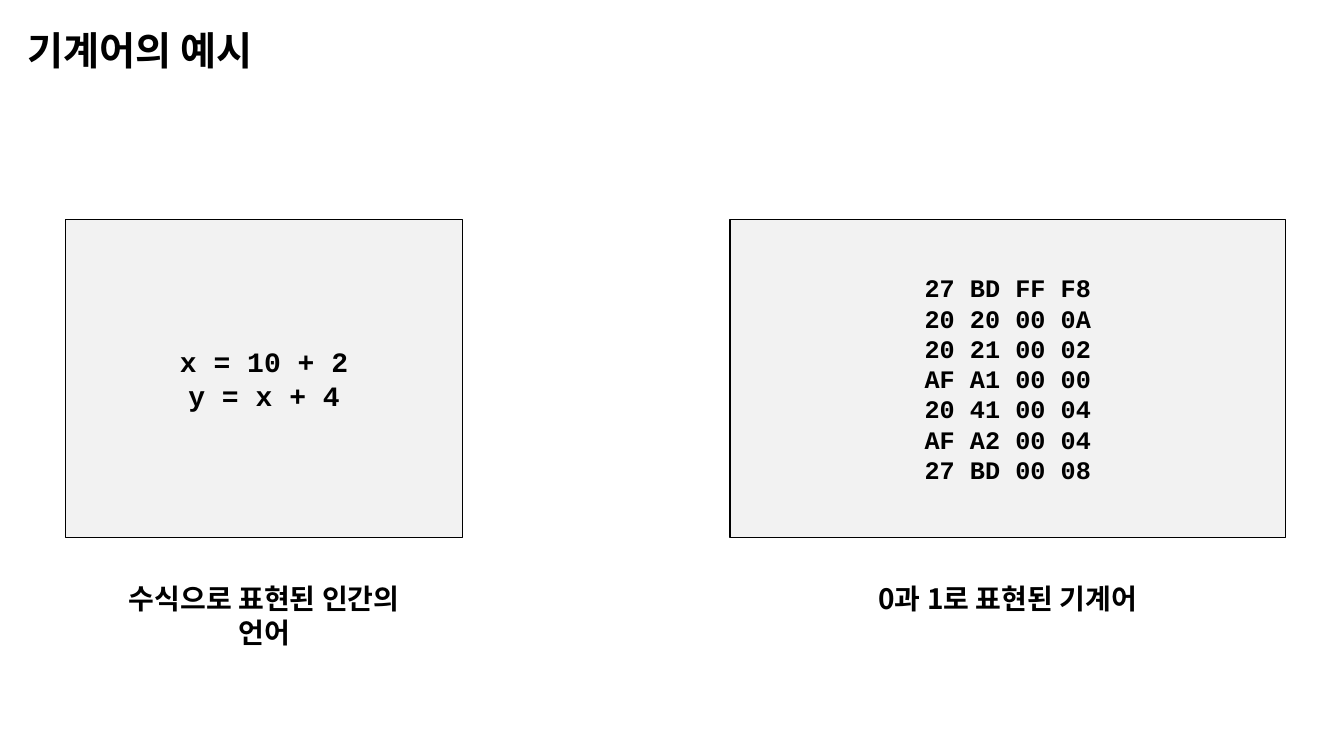
from lxml import etree
from pptx import Presentation
from pptx.dml.color import RGBColor
from pptx.enum import shapes, text
from pptx.oxml.ns import qn
from pptx.util import Inches, Pt

COLORS = {"ink": "000000", "panel": "F2F2F2"}
SANS = "Noto Sans CJK KR"
MONO = "Courier New"
CAPTION_WIDTH = 3.1
CAPTION_GAP = 0.39


def color(name):
    return RGBColor.from_string(COLORS[name])


def write(shape, lines, size, font=SANS, align=text.PP_ALIGN.CENTER,
          anchor=text.MSO_ANCHOR.TOP, fit=text.MSO_AUTO_SIZE.NONE):
    frame = shape.text_frame
    frame.word_wrap = True
    frame.auto_size = fit
    frame.vertical_anchor = anchor
    for index, line in enumerate(lines):
        para = frame.add_paragraph() if index else frame.paragraphs[0]
        para.alignment = align
        span = para.add_run()
        span.text = line
        span.font.size = Pt(size)
        span.font.bold = True
        span.font.name = font
        span.font.color.rgb = color("ink")
        east_asian = etree.SubElement(span.font._element, qn("a:ea"))
        east_asian.set("typeface", font)


def add_title(page, title, left, top, width, height):
    box = page.shapes.title
    box.left, box.top = Inches(left), Inches(top)
    box.width, box.height = Inches(width), Inches(height)
    write(box, [title], 28, align=text.PP_ALIGN.LEFT,
          fit=text.MSO_AUTO_SIZE.SHAPE_TO_FIT_TEXT)


def add_example(page, code, size, caption, caption_height, left, top, width, height):
    panel = page.shapes.add_shape(
        shapes.MSO_SHAPE.RECTANGLE,
        Inches(left), Inches(top), Inches(width), Inches(height))
    panel.shadow.inherit = False
    panel.fill.solid()
    panel.fill.fore_color.rgb = color("panel")
    panel.line.color.rgb = color("ink")
    panel.line.width = Pt(1)
    write(panel, code, size, font=MONO, anchor=text.MSO_ANCHOR.MIDDLE)

    box = page.shapes.add_textbox(
        Inches(left + (width - CAPTION_WIDTH) / 2),
        Inches(top + height + CAPTION_GAP),
        Inches(CAPTION_WIDTH), Inches(caption_height))
    write(box, [caption], 20, fit=text.MSO_AUTO_SIZE.SHAPE_TO_FIT_TEXT)


def main():
    deck = Presentation()
    deck.slide_width, deck.slide_height = Inches(13.33), Inches(7.5)
    page = deck.slides.add_slide(deck.slide_layouts.get_by_name("Title Only"))
    add_title(page, "기계어의 예시", 0.17, 0.21, 5.74, 0.57)
    add_example(page, ["x = 10 + 2", "y = x + 4"], 20,
                "수식으로 표현된 인간의 언어", 0.77, 0.65, 2.18, 3.94, 3.15)
    machine_code = ["27 BD FF F8", "20 20 00 0A", "20 21 00 02", "AF A1 00 00",
                    "20 41 00 04", "AF A2 00 04", "27 BD 00 08"]
    add_example(page, machine_code, 18,
                "0과 1로 표현된 기계어", 0.44, 7.24, 2.18, 5.51, 3.15)
    deck.save("out.pptx")


if __name__ == "__main__":
    main()
